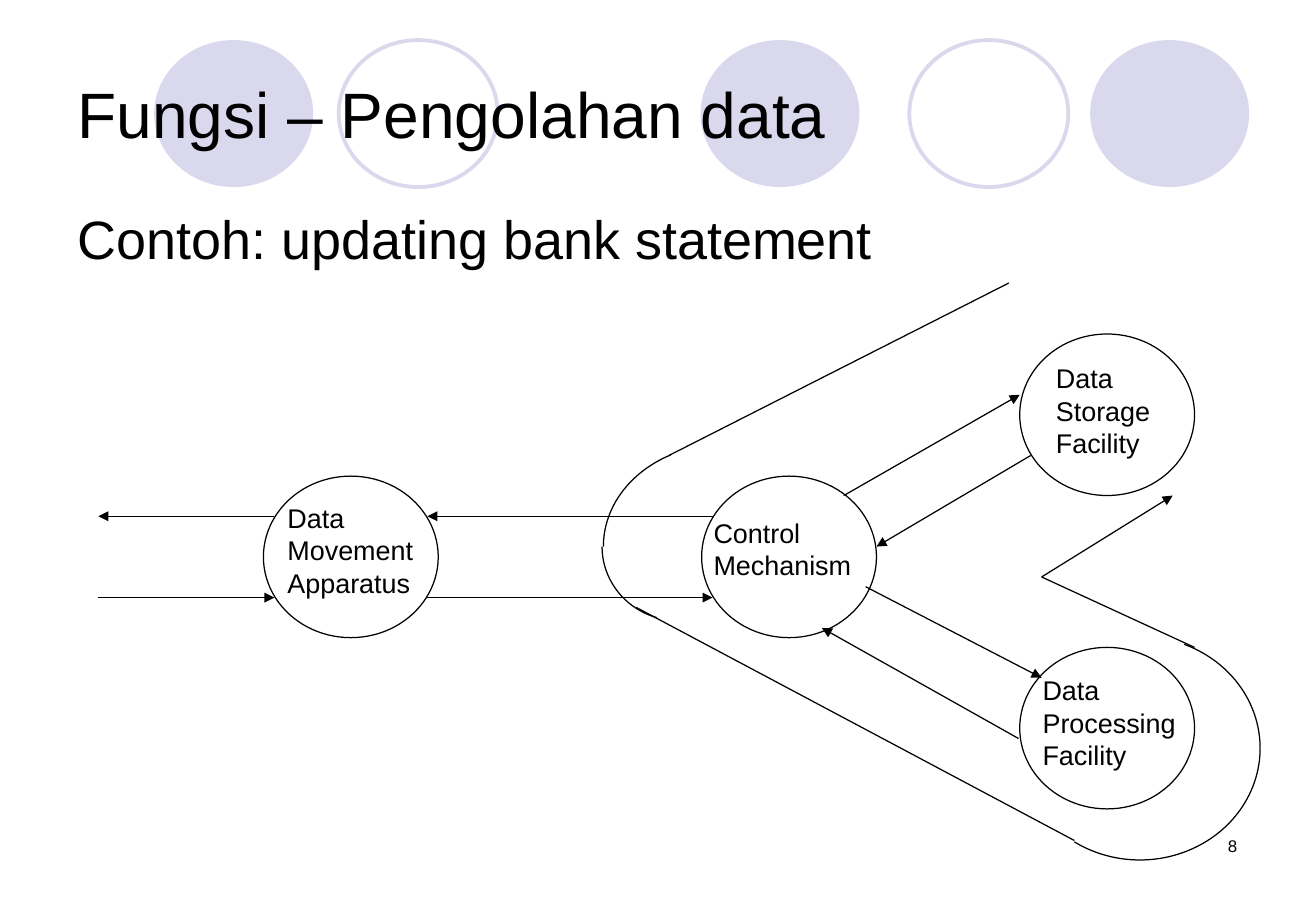
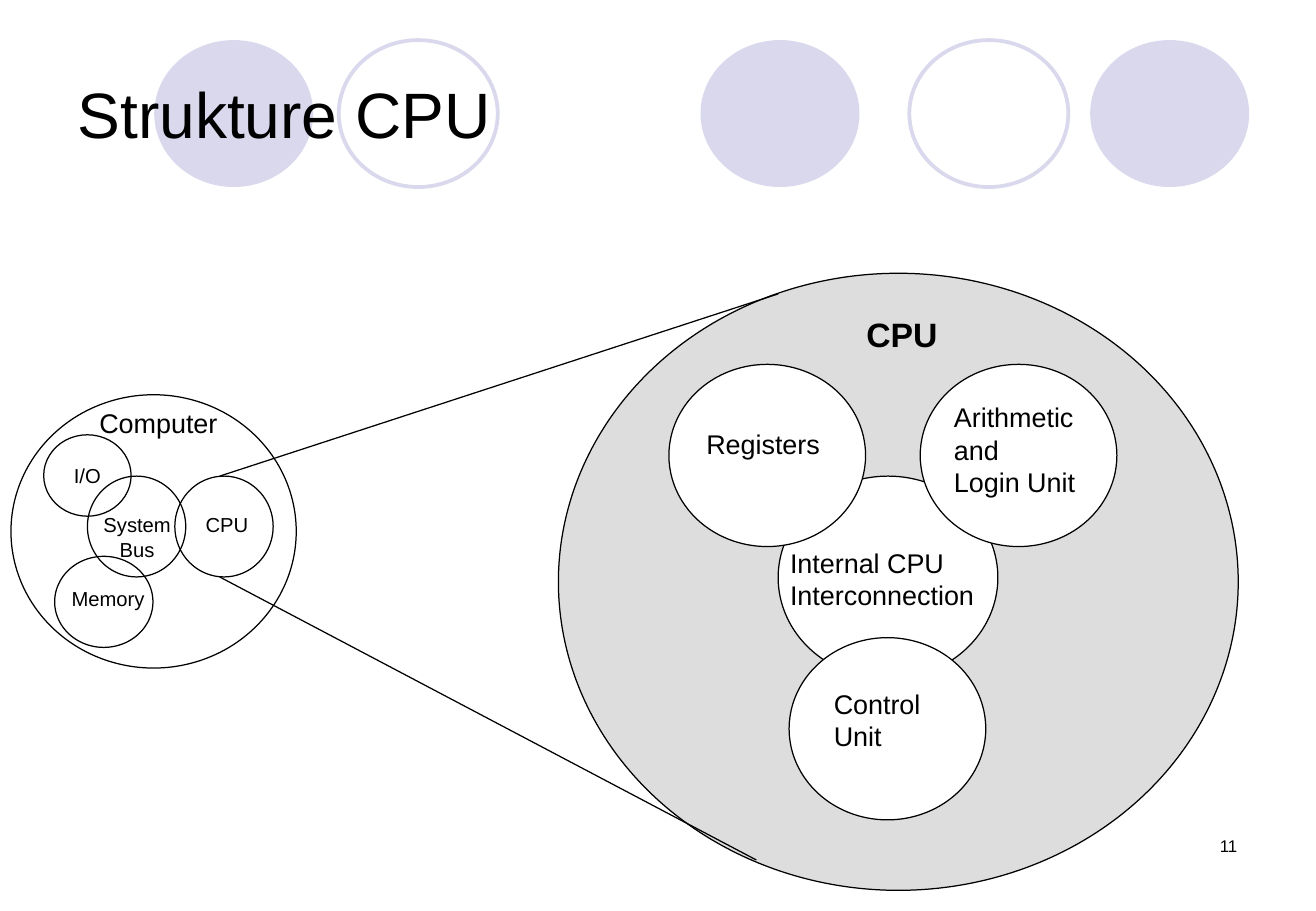
import dataclasses
import typing

import pptx
import pptx.dml.color
import pptx.enum.shapes
import pptx.enum.text
import pptx.oxml
import pptx.oxml.ns
import pptx.util

Inches = pptx.util.Inches
Pt = pptx.util.Pt
Align = pptx.enum.text.PP_ALIGN
Anchor = pptx.enum.text.MSO_ANCHOR
Preset = pptx.enum.shapes.MSO_SHAPE

BLACK = "000000"
WHITE = "FFFFFF"
GREY = "DDDDDD"
LAVENDER = "D9D8EC"
FONT = "Arial"
THIN = 0.75


@dataclasses.dataclass(frozen=True)
class Circle:
    left: float
    top: float
    width: float
    height: float
    fill: str | None = None
    line: str | None = BLACK
    weight: float = THIN
    text: str = ""


@dataclasses.dataclass(frozen=True)
class Label:
    text: str
    left: float
    top: float
    width: float = 1.9
    height: float = 0.9
    size: float = 16
    align: Align = Align.LEFT
    anchor: Anchor = Anchor.TOP
    bold: bool = False
    line_spacing: float = 1.0


@dataclasses.dataclass(frozen=True)
class Line:
    start: tuple[float, float]
    end: tuple[float, float]
    arrow: bool = False


@dataclasses.dataclass(frozen=True)
class Arc:
    center: tuple[float, float]
    radii: tuple[float, float]
    start_angle: float
    end_angle: float


Item = Circle | Label | Line | Arc


def color(value: str) -> pptx.dml.color.RGBColor:
    return pptx.dml.color.RGBColor.from_string(value)


def write(frame: typing.Any, label: Label) -> None:
    frame.word_wrap = True
    frame.vertical_anchor = label.anchor
    for index, text in enumerate(label.text.split("\n")):
        paragraph = frame.add_paragraph() if index else frame.paragraphs[0]
        paragraph.alignment = label.align
        paragraph.line_spacing = label.line_spacing
        run = paragraph.add_run()
        run.text = text
        run.font.name = FONT
        run.font.size = Pt(label.size)
        run.font.bold = label.bold
        run.font.color.rgb = color(BLACK)


def draw_label(slide: typing.Any, label: Label) -> None:
    box = slide.shapes.add_textbox(
        Inches(label.left), Inches(label.top), Inches(label.width), Inches(label.height)
    )
    write(box.text_frame, label)


def add_outline(
    slide: typing.Any, preset: Preset, left: float, top: float, width: float,
    height: float, fill: str | None, line: str | None, weight: float,
) -> typing.Any:
    shape = slide.shapes.add_shape(
        preset, Inches(left), Inches(top), Inches(width), Inches(height)
    )
    shape.shadow.inherit = False
    if fill:
        shape.fill.solid()
        shape.fill.fore_color.rgb = color(fill)
    else:
        shape.fill.background()
    if line:
        shape.line.color.rgb = color(line)
        shape.line.width = Pt(weight)
    else:
        shape.line.fill.background()
    return shape


def draw_circle(slide: typing.Any, circle: Circle) -> None:
    shape = add_outline(
        slide, Preset.OVAL, circle.left, circle.top, circle.width, circle.height,
        circle.fill, circle.line, circle.weight,
    )
    if circle.text:
        write(shape.text_frame, small_label(circle.text, 0, 0))


def draw_arc(slide: typing.Any, arc: Arc) -> None:
    (x, y), (across, down) = arc.center, arc.radii
    shape = add_outline(
        slide, Preset.ARC, x - across, y - down, 2 * across, 2 * down, None, BLACK, THIN
    )
    for index, angle in enumerate((arc.start_angle, arc.end_angle)):
        shape.adjustments[index] = angle * 60000 / 100000


def draw_line(slide: typing.Any, line: Line) -> None:
    connector = slide.shapes.add_connector(
        pptx.enum.shapes.MSO_CONNECTOR.STRAIGHT,
        *(Inches(value) for value in line.start + line.end),
    )
    connector.line.color.rgb = color(BLACK)
    connector.line.width = Pt(THIN)
    properties = connector._element.spPr
    if line.arrow:
        tail = pptx.oxml.parse_xml(
            f'<a:tailEnd {pptx.oxml.ns.nsdecls("a")} type="triangle"/>'
        )
        connector.line._get_or_add_ln().append(tail)
    properties.append(
        pptx.oxml.parse_xml(f'<a:effectLst {pptx.oxml.ns.nsdecls("a")}/>')
    )


def small_label(
    text: str, center: float, top: float, height: float = 0.3,
    size: float = 12, bold: bool = False,
) -> Label:
    width = 1.2
    return Label(
        text, center - width / 2, top, width, height, size,
        Align.CENTER, Anchor.MIDDLE, bold,
    )


def node(left: float, top: float) -> Circle:
    return Circle(left, top, 1.44, 1.33)


def cpu_part(left: float, top: float) -> Circle:
    return Circle(left, top, 1.62, 1.5, WHITE)


DRAW: dict[type, typing.Callable[[typing.Any, typing.Any], None]] = {
    Circle: draw_circle,
    Label: draw_label,
    Line: draw_line,
    Arc: draw_arc,
}

HEADER_CIRCLES = [
    *(Circle(left, 0.33, 1.31, 1.21, LAVENDER, None) for left in (1.27, 5.77, 8.98)),
    *(Circle(left, 0.33, 1.31, 1.21, None, LAVENDER, 2.25) for left in (2.79, 7.49)),
]

DATA_PROCESSING: list[Item] = [
    Label("Contoh: updating bank statement", 0.54, 1.75, 9.75, 0.57, 32, line_spacing=0.8),
    node(2.17, 3.92),
    node(5.78, 3.92),
    node(8.4, 2.75),
    node(8.4, 5.33),
    Line((2.26, 4.25), (0.81, 4.25), True),
    Line((0.81, 4.92), (2.26, 4.92), True),
    Line((3.52, 4.92), (5.87, 4.92), True),
    Line((5.87, 4.25), (3.52, 4.25), True),
    Line((6.95, 4.08), (8.4, 3.25), True),
    Line((8.49, 3.75), (7.22, 4.5), True),
    Line((7.13, 4.83), (8.58, 5.58), True),
    Line((8.39, 6.08), (6.77, 5.17), True),
    Label("Data\nMovement\nApparatus", 2.27, 4.08),
    Label("Control\nMechanism", 5.78, 4.2),
    Label("Data\nStorage\nFacility", 8.6, 2.93),
    Label("Data\nProcessing\nFacility", 8.49, 5.5),
    Line((8.31, 2.33), (5.51, 3.75)),
    Line((5.24, 5), (8.85, 6.92)),
    Line((8.58, 4.75), (9.84, 5.33)),
    Line((8.58, 4.75), (9.66, 4.08), True),
    Arc((5.96, 4.5), (0.99, 0.84), 180, 240),
    Arc((5.59, 4.5), (0.63, 0.61), 107, 180),
    Arc((9.39, 6.16), (0.99, 0.92), 293, 125),
]

CPU_STRUCTURE: list[Item] = [
    Circle(4.6, 2.25, 5.6, 5.08, GREY),
    Circle(6.41, 3.92, 1.81, 1.67, WHITE),
    cpu_part(5.51, 3),
    cpu_part(7.58, 3),
    cpu_part(6.5, 5.25),
    Circle(0.09, 3.25, 2.35, 2.25),
    Label("Computer", 0.72, 3.3),
    Label("Arithmetic\nand\nLogin Unit", 7.76, 3.25),
    Label("Control\nUnit", 6.77, 5.61),
    Label("Internal CPU\nInterconnection", 6.41, 4.45),
    Label("Registers", 5.72, 3.47),
    Line((1.81, 3.92), (6.41, 2.42)),
    Line((1.81, 4.75), (6.23, 7.08)),
    Circle(1.44, 3.92, 0.81, 0.83),
    Circle(0.36, 3.58, 0.72, 0.67, text="I/O"),
    Circle(0.45, 4.58, 0.81, 0.75),
    Circle(0.72, 3.92, 0.81, 0.83),
    small_label("CPU", 1.87, 4.17),
    small_label("Memory", 0.89, 4.78),
    small_label("System\nBus", 1.13, 4.17, 0.5),
    small_label("CPU", 7.43, 2.53, 0.44, 20, True),
]


def add_slide(
    presentation: typing.Any, title: str, number: str, items: list[Item]
) -> None:
    slide = presentation.slides.add_slide(presentation.slide_layouts[6])
    heading = Label(title, 0.54, 0.3, 9.75, 1.25, 38, anchor=Anchor.MIDDLE)
    page_number = Label(number, 7.76, 6.83, 2.53, 0.5, 10, Align.RIGHT)
    for item in [*HEADER_CIRCLES, heading, *items, page_number]:
        DRAW[type(item)](slide, item)


def main() -> None:
    presentation = pptx.Presentation()
    presentation.slide_width = Inches(10.84)
    presentation.slide_height = Inches(7.5)
    add_slide(presentation, "Fungsi – Pengolahan data", "8", DATA_PROCESSING)
    add_slide(presentation, "Strukture CPU", "11", CPU_STRUCTURE)
    presentation.save("out.pptx")


if __name__ == "__main__":
    main()
